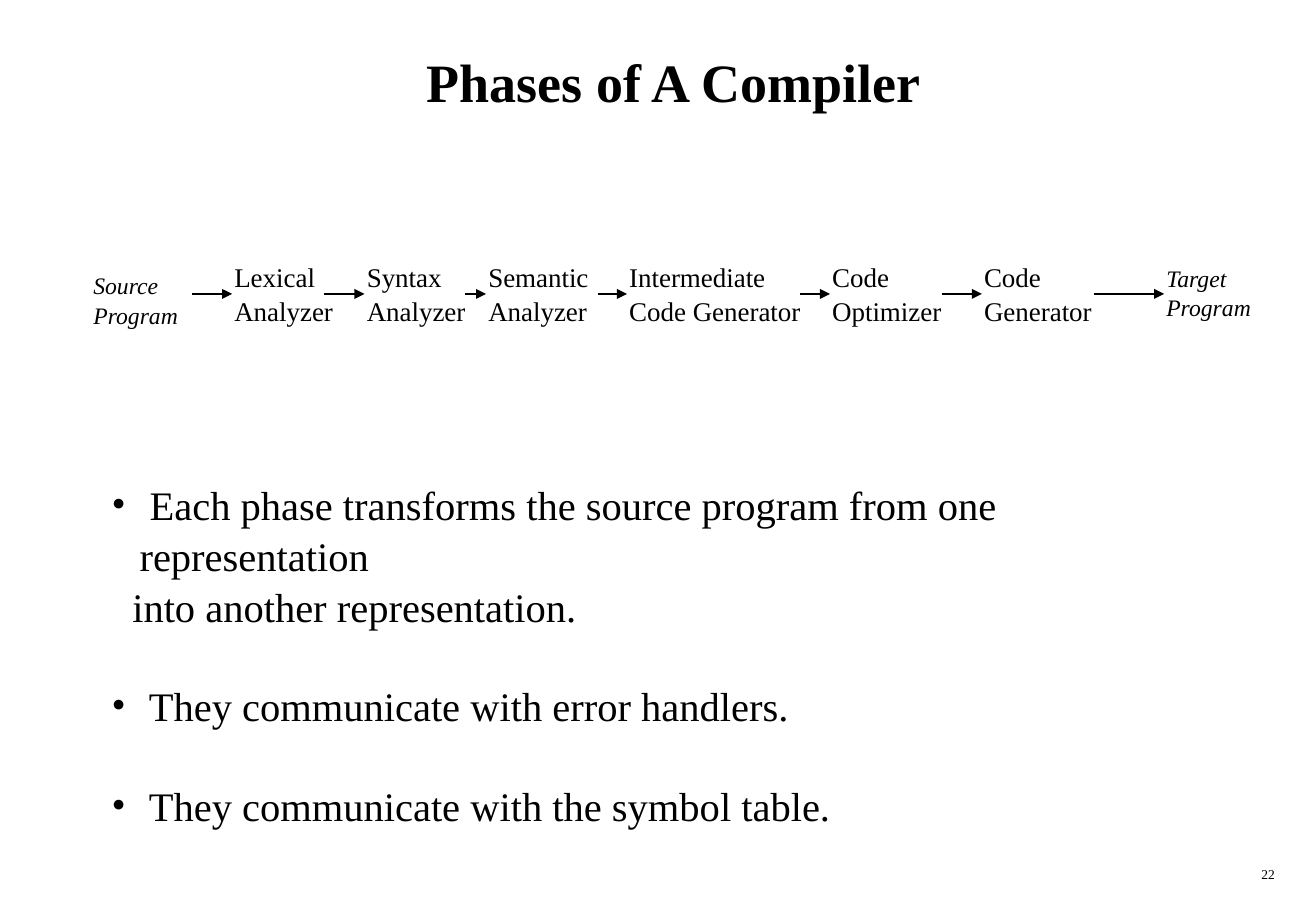
from pptx import Presentation
from pptx.dml.color import RGBColor
from pptx.enum.shapes import MSO_CONNECTOR as CONNECTOR
from pptx.enum.text import MSO_ANCHOR as ANCHOR, PP_ALIGN as ALIGN
from pptx.oxml.ns import qn
from pptx.util import Inches, Pt
from lxml.etree import SubElement

BLACK = RGBColor(0x00, 0x00, 0x00)
WHITE = RGBColor(0xFF, 0xFF, 0xFF)
FONT = "Times New Roman"

# label, left, top offset, width, size, italic, start of the arrow to the next phase
PHASES = [
    ("Source\nProgram", 0.67, 0.09, 0.9, 14, True, 1.58),
    ("Lexical\nAnalyzer", 1.83, 0, 1.02, 16, False, 2.67),
    ("Syntax\nAnalyzer", 2.92, 0, 1.02, 16, False, 3.83),
    ("Semantic\nAnalyzer", 3.92, 0, 1.09, 16, False, 4.92),
    ("Intermediate\nCode Generator", 5.08, 0, 1.62, 16, False, 6.58),
    ("Code\nOptimizer", 6.75, 0, 1.11, 16, False, 7.75),
    ("Code\nGenerator", 8, 0, 1.25, 16, False, 9),
    ("Target\nProgram", 9.5, 0.03, 0.9, 14, True, None),
]

# text, bulleted, space before in points
REMARKS = [
    (" Each phase transforms the source program from one representation", True, 0),
    ("into another representation.", False, 0),
    (" They communicate with error handlers.", True, 28.8),
    (" They communicate with the symbol table.", True, 28.8),
]


def write(paragraph, text, size, bold=False, italic=False, align=ALIGN.LEFT, spacing=1.05):
    """Put formatted text into a paragraph."""
    paragraph.alignment = align
    paragraph.line_spacing = spacing
    run = paragraph.add_run()
    run.text = text
    run.font.name = FONT
    run.font.size = Pt(size)
    run.font.bold = bold
    run.font.italic = italic
    run.font.color.rgb = BLACK


def add_frame(slide, left, top, width, height, wrap=True):
    """Add a text box and return its text frame."""
    frame = slide.shapes.add_textbox(
        Inches(left), Inches(top), Inches(width), Inches(height)).text_frame
    frame.word_wrap = wrap
    return frame


def next_paragraph(frame, index):
    """Return the first paragraph, or a new one after it."""
    return frame.add_paragraph() if index else frame.paragraphs[0]


def add_arrow(slide, start, end, y):
    """Draw a thin horizontal arrow."""
    arrow = slide.shapes.add_connector(
        CONNECTOR.STRAIGHT, Inches(start), Inches(y), Inches(end), Inches(y))
    arrow.line.color.rgb = BLACK
    arrow.line.width = Pt(0.75)
    SubElement(arrow.line._get_or_add_ln(), qn("a:tailEnd"), type="triangle")
    SubElement(arrow._element.spPr, qn("a:effectLst"))


def add_title(slide, left, top, width, height):
    """Place and format the title."""
    title = slide.shapes.title
    title.left, title.top = Inches(left), Inches(top)
    title.width, title.height = Inches(width), Inches(height)
    title.text_frame.vertical_anchor = ANCHOR.MIDDLE
    write(title.text_frame.paragraphs[0], "Phases of A Compiler", 32,
          bold=True, align=ALIGN.CENTER, spacing=1)


def add_pipeline(slide, top, height):
    """Lay out the compiler phases and the arrows between them."""
    for index, (label, left, offset, width, size, italic, arrow_start) in enumerate(PHASES):
        frame = add_frame(slide, left, top + offset, width, height, wrap=False)
        for row, line in enumerate(label.split("\n")):
            write(next_paragraph(frame, row), line, size, italic=italic)
        if arrow_start is not None:
            add_arrow(slide, arrow_start, PHASES[index + 1][1] + 0.08, top + 0.34)


def add_remarks(slide, left, top, width, height):
    """Write the bulleted remarks."""
    frame = add_frame(slide, left, top, width, height)
    for index, (text, bulleted, before) in enumerate(REMARKS):
        paragraph = next_paragraph(frame, index)
        write(paragraph, text, 24)
        paragraph.space_before = Pt(before)
        properties = paragraph._p.get_or_add_pPr()
        margin = Inches(0.23 if bulleted else 0.17)
        properties.set("marL", str(margin))
        properties.set("indent", str(-margin if bulleted else 0))
        if bulleted:
            SubElement(properties, qn("a:buFont"), typeface=FONT)
            SubElement(properties, qn("a:buChar"), char="•")


def add_page_number(slide, left, top, width, height):
    """Write the page number at the lower right."""
    frame = add_frame(slide, left, top, width, height)
    write(frame.paragraphs[0], "22", 8, align=ALIGN.RIGHT, spacing=1)


def main():
    """Build and save the slide."""
    deck = Presentation()
    deck.slide_width, deck.slide_height = Inches(10.83), Inches(7.5)
    slide = deck.slides.add_slide(deck.slide_layouts[5])
    slide.background.fill.solid()
    slide.background.fill.fore_color.rgb = WHITE
    add_title(slide, 0.42, 0.17, 10.25, 1)
    add_pipeline(slide, 2.08, 0.64)
    add_remarks(slide, 0.82, 3.88, 9.42, 2.9)
    add_page_number(slide, 8.33, 7.08, 2.26, 0.25)
    deck.save("out.pptx")


if __name__ == "__main__":
    main()
